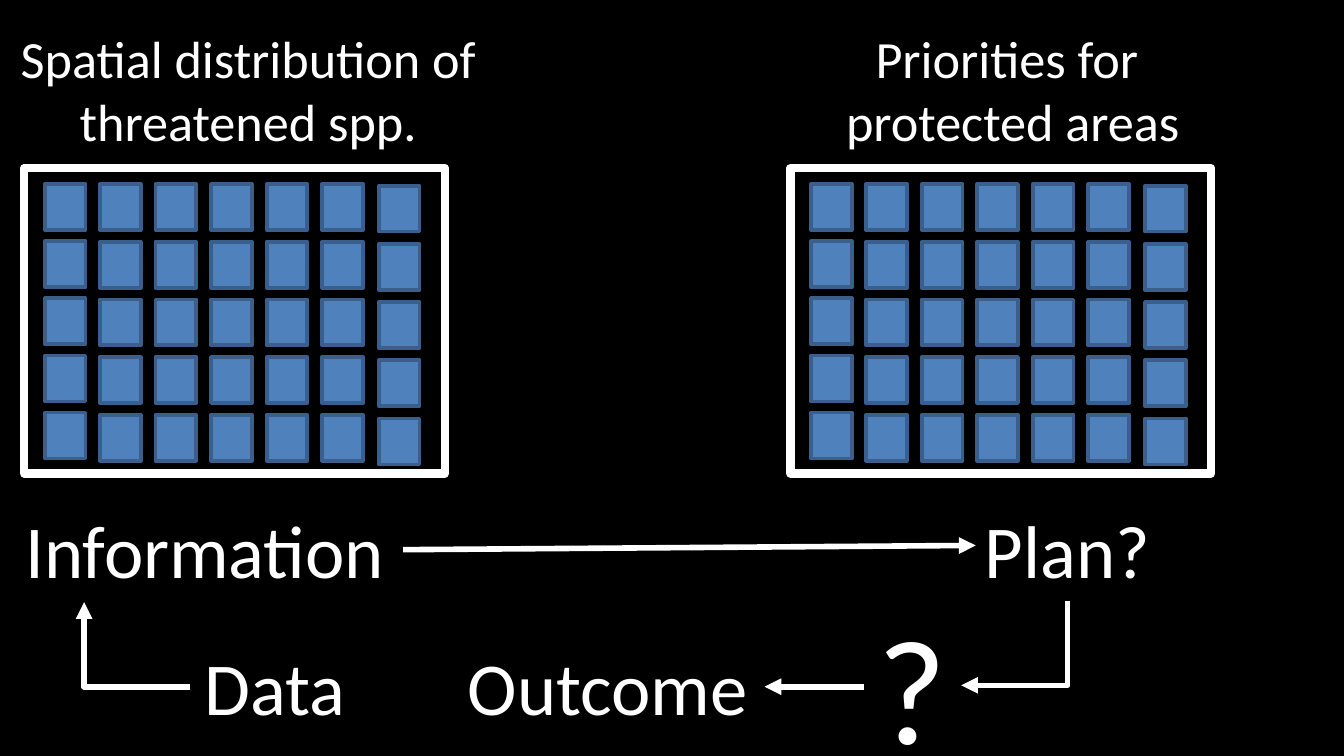
from lxml import etree
from pptx import Presentation
from pptx.dml.color import RGBColor
from pptx.enum.shapes import MSO_CONNECTOR as Connector, MSO_SHAPE as Shape
from pptx.enum.text import MSO_AUTO_SIZE as AutoSize, PP_ALIGN as Align
from pptx.oxml.ns import qn
from pptx.util import Cm, Pt

COLORS = {"background": "000000", "white": "FFFFFF", "cell": "4F81BD", "cell_edge": "3A5F8C"}
COLORS = {part: RGBColor.from_string(value) for part, value in COLORS.items()}


def add_label(shapes, lines, left, top, width, height, size, align=Align.LEFT):
    label = shapes.add_textbox(Cm(left), Cm(top), Cm(width), Cm(height))
    frame = label.text_frame
    frame.text = lines
    frame.word_wrap = False
    frame.auto_size = AutoSize.SHAPE_TO_FIT_TEXT
    for paragraph in frame.paragraphs:
        paragraph.alignment = align
        font = paragraph.runs[0].font
        font.name = "Calibri"
        font.size = Pt(size)
        font.color.rgb = COLORS["white"]


def add_arrow(shapes, kind, x1, y1, x2, y2):
    arrow = shapes.add_connector(kind, Cm(x1), Cm(y1), Cm(x2), Cm(y2))
    arrow.line.color.rgb = COLORS["white"]
    arrow.line.width = Pt(3)
    etree.SubElement(arrow.line._get_or_add_ln(), qn("a:tailEnd"), type="triangle")
    properties = arrow._element.spPr
    etree.SubElement(properties, qn("a:effectLst"))
    return properties


prs = Presentation()
prs.slide_width, prs.slide_height = Cm(25.4), Cm(14.29)
slide = prs.slides.add_slide(prs.slide_layouts[6])
slide.background.fill.solid()
slide.background.fill.fore_color.rgb = COLORS["background"]

# Each grid column: offset from the frame, first row top, row pitch
columns = [(0.39, 3.48, 1.08)]
columns += [(1.43 + 1.05 * i, 3.48, 1.09) for i in range(5)]
columns += [(6.7, 3.51, 1.1)]

# Maps: frame left, caption, caption left, caption width
maps = [
    (14.94, "Priorities for \nprotected areas", 15.7, 6.88),
    (0.46, "Spatial distribution of\nthreatened spp.", 0.08, 9.22),
]
for frame_left, caption, caption_left, caption_width in maps:
    grid_map = slide.shapes.add_group_shape().shapes
    border = grid_map.add_shape(Shape.RECTANGLE, Cm(frame_left), Cm(3.18), Cm(7.95), Cm(5.77))
    border.shadow.inherit = False
    border.fill.background()
    border.line.color.rgb = COLORS["white"]
    border.line.width = Pt(4.5)
    add_label(grid_map, caption, caption_left, 0.38, caption_width, 2.64, 28, Align.CENTER)

    for offset, first_top, pitch in columns:
        for row in range(5):
            cell = grid_map.add_shape(Shape.RECTANGLE, Cm(frame_left + offset),
                                      Cm(first_top + row * pitch), Cm(0.77), Cm(0.87))
            cell.shadow.inherit = False
            cell.fill.solid()
            cell.fill.fore_color.rgb = COLORS["cell"]
            cell.line.color.rgb = COLORS["cell_edge"]
            cell.line.width = Pt(2)

steps = [
    ("Data", 3.61, 11.99, 3.2, 1.96, 40),
    ("Information", 0.23, 9.4, 7.39, 1.96, 40),
    ("Plan?", 18.36, 9.4, 3.66, 1.96, 40),
    ("?", 16.33, 11.13, 1.83, 3.68, 80),
    ("Outcome", 8.59, 11.99, 5.84, 1.96, 40),
]
for step in steps:
    add_label(slide.shapes, *step)

information_to_plan = (7.62, 10.39, 18.44, 10.31)
question_to_outcome = (16.33, 12.98, 14.45, 12.98)
for ends in (information_to_plan, question_to_outcome):
    add_arrow(slide.shapes, Connector.STRAIGHT, *ends)

# Single-bend arrows: corners before rotation, then degrees clockwise
plan_to_question = (18.37, 11.15, 19.97, 13.16, 90)
data_to_information = (1.59, 11.38, 3.6, 12.98, 180)
for *corners, degrees in (plan_to_question, data_to_information):
    properties = add_arrow(slide.shapes, Connector.ELBOW, *corners)
    properties.find(qn("a:prstGeom")).set("prst", "bentConnector2")
    properties.find(qn("a:xfrm")).set("rot", str(degrees * 60000))

prs.save("out.pptx")
